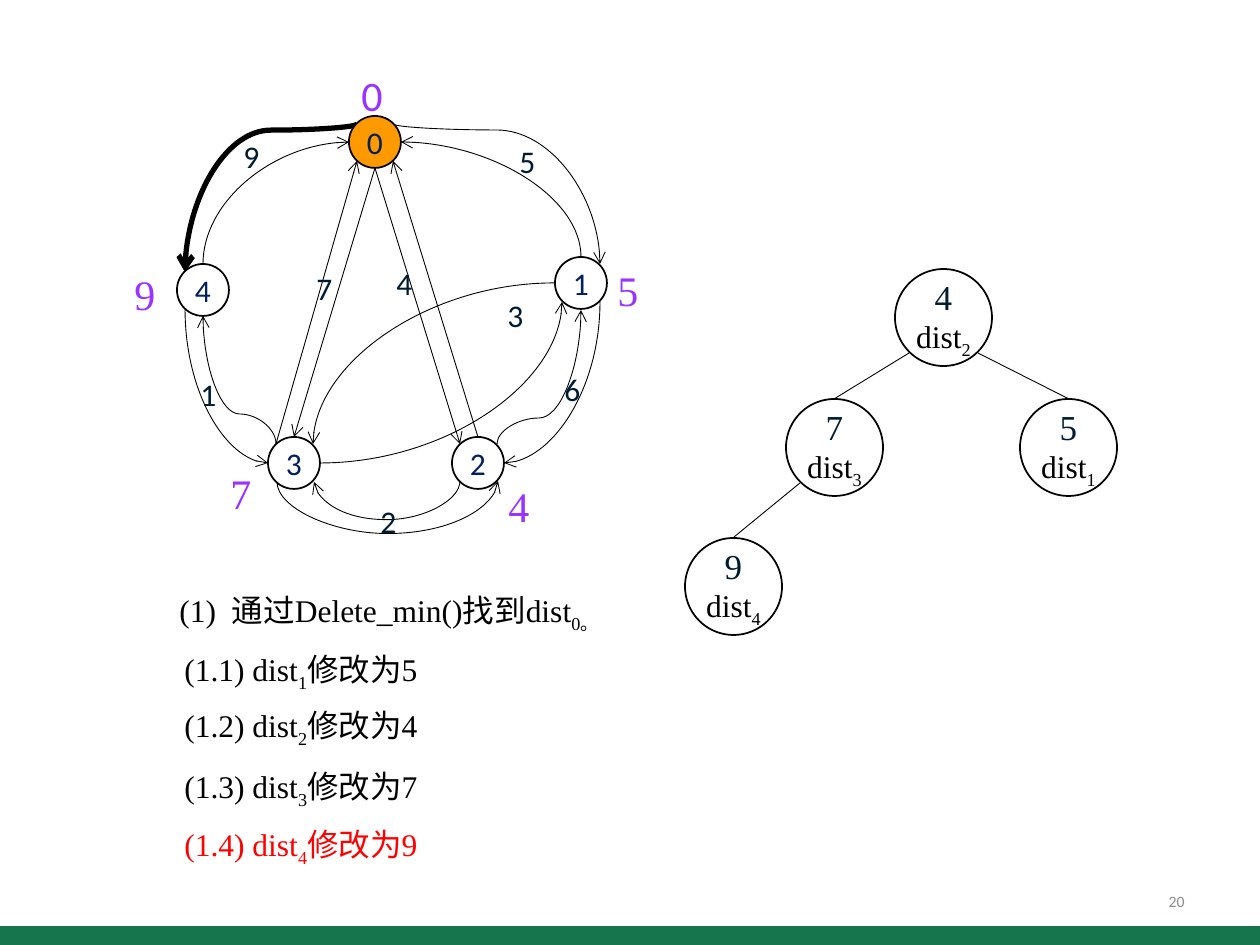
from lxml import etree
from pptx import Presentation
from pptx.dml.color import RGBColor
from pptx.enum import shapes, text
from pptx.oxml import ns
from pptx.util import Pt

PX = 914400 / 126
COLORS = {"ink": "000000", "navy": "002060", "weight": "001C30", "distance": "9933FF",
          "source": "FF9900", "active": "FF0000", "page": "8C8C8C", "bar": "16754D"}
SERIF, SANS = "Times New Roman", "Calibri"


def write(frame, words, size=18, color="ink", font=SERIF, align=text.PP_ALIGN.LEFT,
          anchor=text.MSO_ANCHOR.TOP, wrap=False, inset=None):
    frame.word_wrap = wrap
    frame.vertical_anchor = anchor
    if inset is not None:
        frame.margin_left = frame.margin_right = frame.margin_top = frame.margin_bottom = inset
    line = frame.add_paragraph() if frame.text else frame.paragraphs[0]
    line.alignment = align
    for index, part in enumerate(words.split("|")):
        run = line.add_run()
        run.text = part
        run.font.size = Pt(size)
        run.font.name = font
        run.font.color.rgb = RGBColor.from_string(COLORS[color])
        if index % 2:
            run.font._element.set("baseline", "-25000")


def connect(start, end, arrow=None, width=0.5, turn=0, via=None, curved=False):
    dx, dy = end[0] - start[0], end[1] - start[1]
    local_x, local_y = {0: (dx, dy), 90: (dy, -dx), 180: (-dx, -dy), 270: (-dy, dx)}[turn]
    mid_x, mid_y = (start[0] + end[0]) / 2, (start[1] + end[1]) / 2
    kind = shapes.MSO_CONNECTOR.CURVE if curved else shapes.MSO_CONNECTOR.STRAIGHT
    corners = (mid_x - local_x / 2, mid_y - local_y / 2, mid_x + local_x / 2, mid_y + local_y / 2)
    edge = slide.shapes.add_connector(kind, *[round(v * PX) for v in corners])
    edge.line.color.rgb = RGBColor.from_string(COLORS["ink"])
    edge.line.width = Pt(width)
    properties = edge._element.spPr
    if turn:
        properties.find(ns.qn("a:xfrm")).set("rot", str(turn * 60000))
    if curved:
        geometry = properties.find(ns.qn("a:prstGeom"))
        if via is None:
            geometry.set("prst", "curvedConnector2")
        else:
            adjust = etree.SubElement(geometry.find(ns.qn("a:avLst")), ns.qn("a:gd"))
            adjust.set("name", "adj1")
            adjust.set("fmla", f"val {round((via - start[1]) / dy * 100000)}")
    if arrow:
        etree.SubElement(edge.line._get_or_add_ln(), ns.qn(f"a:{arrow}End")).set("type", "arrow")
    etree.SubElement(properties, ns.qn("a:effectLst"))


deck = Presentation()
deck.slide_width, deck.slide_height = round(1260 * PX), round(945 * PX)
slide = deck.slides.add_slide(deck.slide_layouts[6])

bar = slide.shapes.add_shape(shapes.MSO_SHAPE.RECTANGLE, 0, round(926 * PX), round(1260 * PX), round(19 * PX))
bar.shadow.inherit = False
bar.fill.solid()
bar.fill.fore_color.rgb = RGBColor.from_string(COLORS["bar"])
bar.line.fill.background()

for start, end in [((834, 399), (909, 353)), ((1069, 399), (978, 353)), ((734, 537), (800, 483))]:
    connect(start, end)

for start, end in [((375, 168), (460, 444)), ((375, 168), (294, 437)),
                   ((276, 444), (357, 161)), ((478, 437), (393, 161))]:
    connect(start, end, arrow="tail")

for start, end, turn, arrow, via, width in [
    ((357, 124), (185, 272), 270, "tail", 130, 3),
    ((268, 463), (185, 309), 180, "head", None, 0.5),
    ((600, 264), (393, 124), 270, "head", 130, 0.5),
    ((498, 481), (277, 482), 90, "head", 534, 0.5),
    ((600, 302), (504, 463), 90, "tail", None, 0.5),
    ((554, 283), (313, 444), 180, "tail", None, 0.5),
    ((460, 481), (314, 482), 90, "tail", 520, 0.5),
    ((562, 302), (320, 463), 90, "head", None, 0.5),
    ((276, 444), (203, 316), 270, "tail", 414, 0.5),
    ((581, 310), (497, 444), 90, "head", 418, 0.5),
    ((349, 142), (203, 264), 180, "head", None, 0.5),
    ((581, 257), (401, 142), 270, "tail", None, 0.5),
]:
    connect(start, end, arrow=arrow, width=width, turn=turn, via=via, curved=True)

vertices = [(349, 116, 52, "0", None), (177, 264, 52, "4", None), (268, 437, 52, "3", None),
            (452, 437, 52, "2", None), (555, 257, 52, "1", None)]
heap = [(895, 269, 97, "4", "dist|2"), (786, 399, 97, "7", "dist|3"),
        (685, 538, 97, "9", "dist|4"), (1020, 399, 97, "5", "dist|1")]
for left, top, size, key, label in vertices + heap:
    node = slide.shapes.add_shape(shapes.MSO_SHAPE.OVAL, *[round(v * PX) for v in (left, top, size, size)])
    node.shadow.inherit = False
    node.line.color.rgb = RGBColor.from_string(COLORS["ink"])
    node.line.width = Pt(1)
    if key == "0":
        node.fill.solid()
        node.fill.fore_color.rgb = RGBColor.from_string(COLORS["source"])
    else:
        node.fill.background()
    centred = {"align": text.PP_ALIGN.CENTER, "anchor": text.MSO_ANCHOR.MIDDLE, "inset": 0}
    if label:
        write(node.text_frame, key, size=20, color="weight", **centred)
        write(node.text_frame, label, **centred)
    else:
        write(node.text_frame, key, color="navy", font=SANS, **centred)

weight = {"color": "weight", "font": SANS}
distance = {"size": 24, "color": "distance"}
step = {"wrap": True}
page = {"size": 9, "color": "page", "font": SANS, "align": text.PP_ALIGN.RIGHT,
        "anchor": text.MSO_ANCHOR.MIDDLE, "wrap": True}
for left, top, width, height, words, style in [
    (231, 131, 43, 50, "9", weight),
    (507, 136, 43, 50, "5", weight),
    (384, 258, 43, 50, "4", weight),
    (304, 263, 43, 50, "7", weight),
    (188, 369, 43, 50, "1", weight),
    (368, 496, 43, 50, "2", weight),
    (495, 290, 43, 50, "3", weight),
    (552, 364, 43, 50, "6", weight),
    (349, 63, 49, 63, "0", {**distance, "font": SANS}),
    (605, 258, 47, 63, "5", distance),
    (496, 474, 47, 63, "4", distance),
    (218, 461, 47, 63, "7", distance),
    (122, 262, 47, 63, "9", distance),
    (167, 585, 501, 50, "(1)  通过Delete_min()找到dist|0。", step),
    (172, 644, 364, 50, "(1.1) dist|1|修改为5", step),
    (172, 700, 364, 50, "(1.2) dist|2|修改为4", step),
    (172, 761, 364, 50, "(1.3) dist|3|修改为7", step),
    (172, 819, 364, 50, "(1.4) dist|4|修改为9", {**step, "color": "active"}),
    (903, 876, 294, 50, "20", page),
]:
    caption = slide.shapes.add_textbox(*[round(v * PX) for v in (left, top, width, height)])
    write(caption.text_frame, words, **style)

deck.save("out.pptx")
